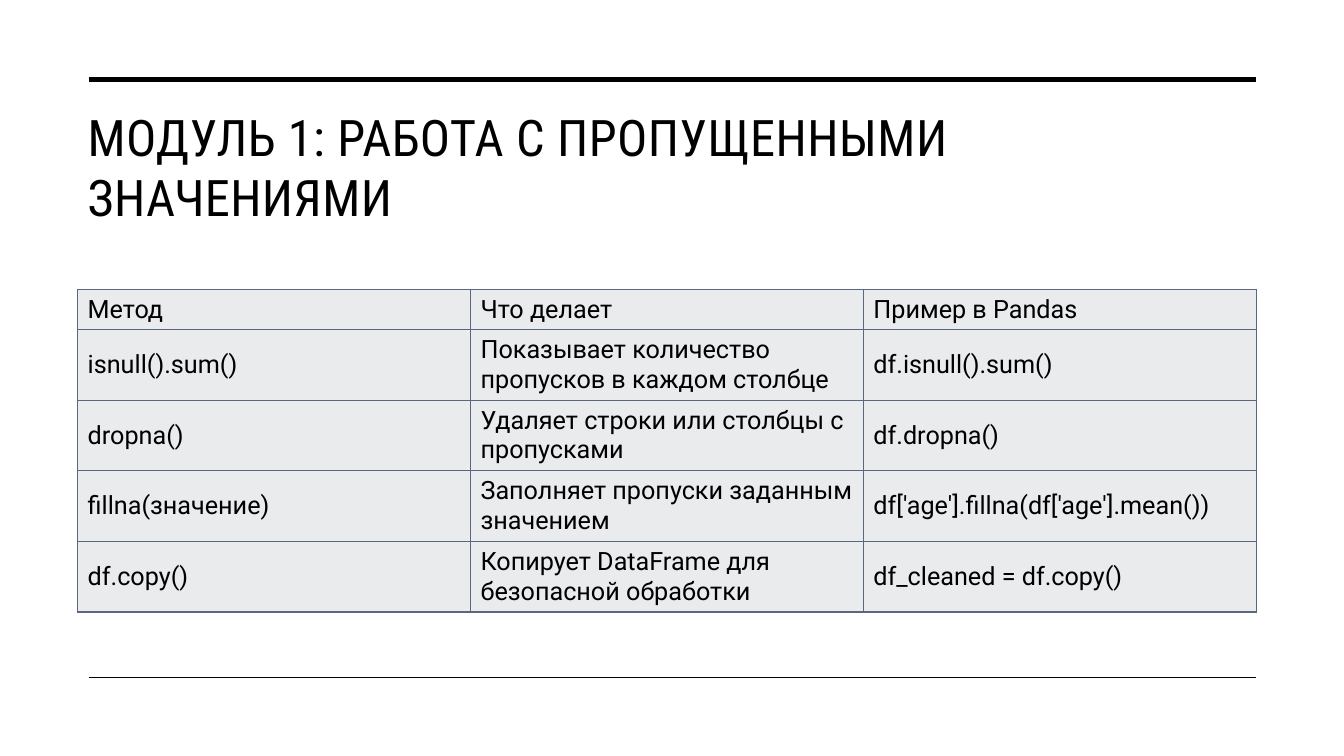
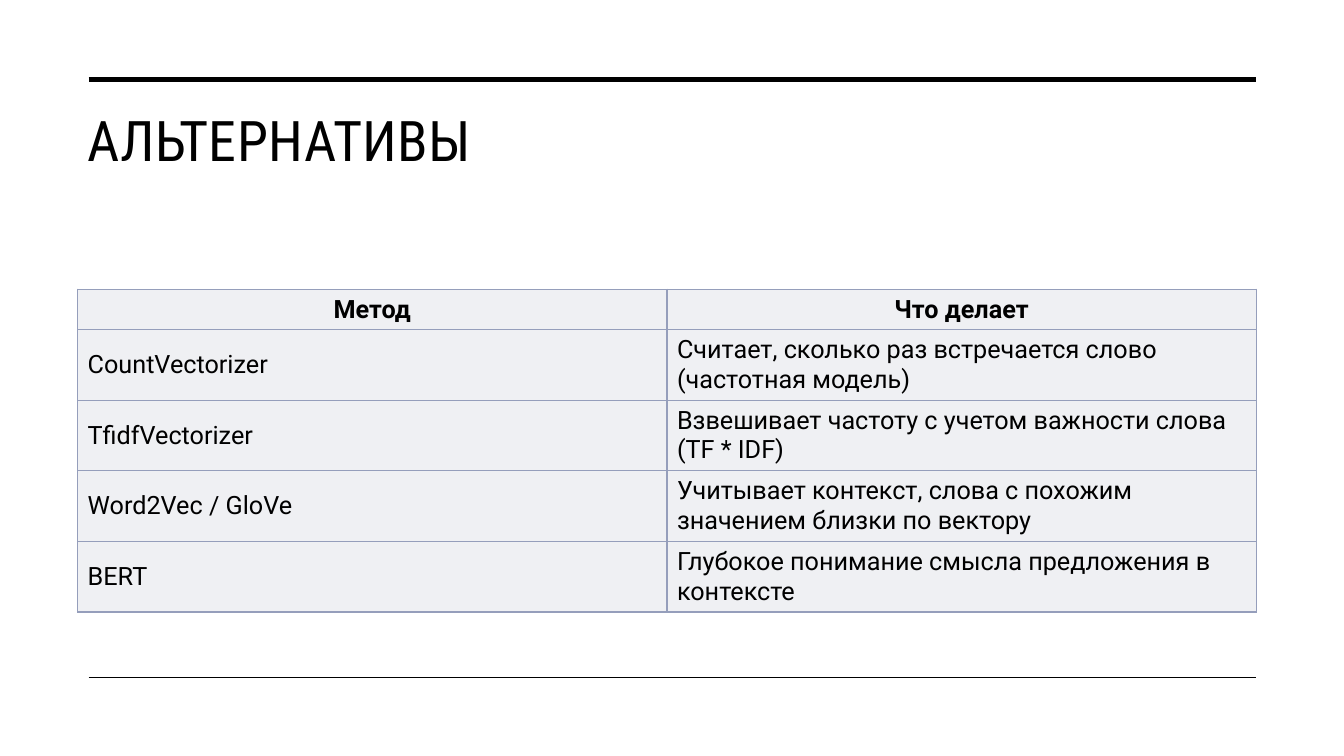
from lxml import etree
from pptx import Presentation
from pptx.dml.color import RGBColor
from pptx.enum.shapes import MSO_CONNECTOR
from pptx.enum.text import MSO_ANCHOR, PP_ALIGN
from pptx.oxml.ns import qn
from pptx.util import Inches, Pt

LINE = MSO_CONNECTOR.STRAIGHT
TOP, MIDDLE = MSO_ANCHOR.TOP, MSO_ANCHOR.MIDDLE
LEFT, CENTER = PP_ALIGN.LEFT, PP_ALIGN.CENTER

COLORS = {
    "ink": "000000",
    "slate": "596781",
    "slate fill": "EAEBED",
    "lilac": "959EBB",
    "lilac fill": "EFF0F3",
}
HEAD, BODY = "Roboto Condensed", "Roboto"
TITLE_BOX = (0.77, 1, 11.69, 1.43)
TABLE_BOX = (0.77, 2.87, 11.69, 3.16)
HEAD_ROW = 0.4
RULES = ((0.79, 3.5), (6.72, 1))

METHODS = (
    ("Метод", "Что делает", "Пример в Pandas"),
    ("isnull().sum()", "Показывает количество пропусков в каждом столбце",
     "df.isnull().sum()"),
    ("dropna()", "Удаляет строки или столбцы с пропусками", "df.dropna()"),
    ("fillna(значение)", "Заполняет пропуски заданным значением",
     "df['age'].fillna(df['age'].mean())"),
    ("df.copy()", "Копирует DataFrame для безопасной обработки",
     "df_cleaned = df.copy()"),
)
MODELS = (
    ("Метод", "Что делает"),
    ("CountVectorizer",
     "Считает, сколько раз встречается слово (частотная модель)"),
    ("TfidfVectorizer",
     "Взвешивает частоту с учетом важности слова (TF * IDF)"),
    ("Word2Vec / GloVe",
     "Учитывает контекст, слова с похожим значением близки по вектору"),
    ("BERT", "Глубокое понимание смысла предложения в контексте"),
)


def color(name):
    return RGBColor.from_string(COLORS[name])


def write(frame, text, font=BODY, size=18, bold=False, align=LEFT, track=0):
    """Put one formatted paragraph in a frame; track is in points."""
    frame.word_wrap = True
    para = frame.paragraphs[0]
    para.alignment = align
    run = para.add_run()
    run.text = text
    run.font.name = font
    run.font.size = Pt(size)
    run.font.bold = bold
    run.font.color.rgb = color("ink")
    if track:
        run.font._element.set("spc", str(round(track * 100)))


def add_rules(slide, left=0.88, right=12.46):
    for y, width in RULES:
        rule = slide.shapes.add_connector(
            LINE, Inches(left), Inches(y), Inches(right), Inches(y))
        rule.line.color.rgb = color("ink")
        rule.line.width = Pt(width)
        etree.SubElement(rule._element.spPr, qn("a:effectLst"))


def add_title(slide, box, text, size):
    frame = slide.shapes.add_textbox(*map(Inches, box)).text_frame
    frame.vertical_anchor = TOP
    write(frame, text, font=HEAD, size=size, track=0.3)


def add_edges(cell, tint):
    """Draw the four borders; they must come before the cell's fill."""
    props = cell._tc.get_or_add_tcPr()
    for i, side in enumerate(("lnL", "lnR", "lnT", "lnB")):
        edge = etree.Element(qn("a:" + side), w=str(Pt(1)))
        fill = etree.SubElement(edge, qn("a:solidFill"))
        etree.SubElement(fill, qn("a:srgbClr"), val=COLORS[tint])
        props.insert(i, edge)


def add_grid(slide, box, rows, tint, strong):
    """Build an even table; strong makes its head row bold and centred."""
    count, wide = len(rows), len(rows[0])
    table = slide.shapes.add_table(count, wide, *map(Inches, box)).table
    for col in table.columns:
        col.width = Inches(box[2] / wide)
    for r, row in enumerate(rows):
        high = (box[3] - HEAD_ROW) / (count - 1) if r else HEAD_ROW
        table.rows[r].height = Inches(high)
        bold = strong and r == 0
        for c, text in enumerate(row):
            cell = table.cell(r, c)
            cell.vertical_anchor = MIDDLE
            cell.fill.solid()
            cell.fill.fore_color.rgb = color(tint + " fill")
            add_edges(cell, tint)
            write(cell.text_frame, text, bold=bold,
                  align=CENTER if bold else LEFT)


def add_page(deck, title, size, rows, tint, strong=False):
    slide = deck.slides.add_slide(deck.slide_layouts[6])
    add_rules(slide)
    add_title(slide, TITLE_BOX, title, size)
    add_grid(slide, TABLE_BOX, rows, tint, strong)


def main():
    deck = Presentation()
    deck.slide_width, deck.slide_height = Inches(13.33), Inches(7.5)
    add_page(deck, "МОДУЛЬ 1: РАБОТА С ПРОПУЩЕННЫМИ ЗНАЧЕНИЯМИ", 36,
             METHODS, "slate")
    add_page(deck, "АЛЬТЕРНАТИВЫ", 40, MODELS, "lilac", strong=True)
    deck.save("out.pptx")


if __name__ == "__main__":
    main()
